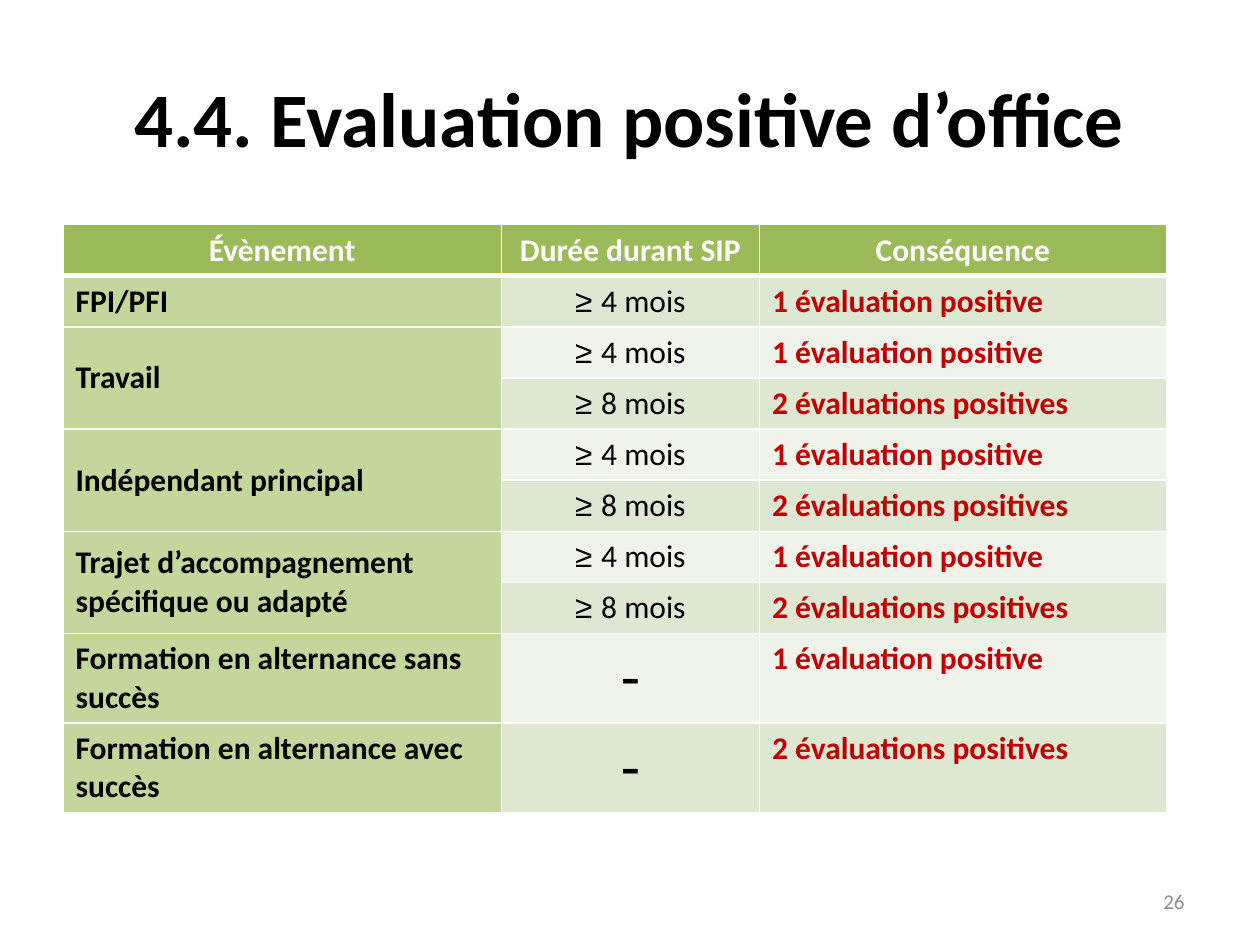
from lxml.etree import SubElement
from pptx import Presentation
from pptx.dml.color import RGBColor
from pptx.enum.text import MSO_ANCHOR, PP_ALIGN
from pptx.oxml.ns import qn
from pptx.util import Pt

WHITE, BLACK, GREY, RED = "FFFFFF", "000000", "8C8C8C", "C00000"
HEADER_GREEN, EVENT_GREEN = "9BBB59", "C3D69B"
BANDS = ["DEE7D1", "EFF3EA"]

HEADINGS = ["Évènement", "Durée durant SIP", "Conséquence"]
ONE, TWO = "1 évaluation positive", "2 évaluations positives"
BOTH_DURATIONS = [("4 mois", ONE), ("8 mois", TWO)]
EVENTS = [
    ("FPI/PFI", [("4 mois", ONE)]),
    ("Travail", BOTH_DURATIONS),
    ("Indépendant principal", BOTH_DURATIONS),
    ("Trajet d’accompagnement spécifique ou adapté", BOTH_DURATIONS),
    ("Formation en alternance sans succès", [(None, ONE)]),
    ("Formation en alternance avec succès", [(None, TWO)]),
]
COLUMN_WIDTHS = [250.5, 147.5, 232.5]
ROW_HEIGHT, TALL_ROW_HEIGHT = 29.2, 51.2


def color(value):
    return RGBColor.from_string(value)


class SlideBuilder:
    style = {"name": "Calibri", "size": 18, "bold": False, "color": BLACK}

    def __init__(self, slide):
        self.slide = slide

    def add_runs(self, frame, runs, align=PP_ALIGN.LEFT):
        paragraph = frame.paragraphs[0]
        paragraph.alignment = align
        for text, changes in runs:
            run = paragraph.add_run()
            run.text = text
            values = {**self.style, **changes}
            run.font.color.rgb = color(values.pop("color"))
            values["size"] = Pt(values["size"])
            for name, value in values.items():
                setattr(run.font, name, value)

    def text(self, box, text, align, **changes):
        shape = self.slide.shapes.add_textbox(*map(Pt, box))
        frame = shape.text_frame
        frame.word_wrap = True
        frame.vertical_anchor = MSO_ANCHOR.MIDDLE
        self.add_runs(frame, [(text, changes)], align)

    def table(self, left, top, widths, heights):
        frame = self.slide.shapes.add_table(
            len(heights), len(widths), Pt(left), Pt(top), Pt(sum(widths)), Pt(sum(heights)))
        table = frame.table
        for column, width in zip(table.columns, widths):
            column.width = Pt(width)
        for row, height in zip(table.rows, heights):
            row.height = Pt(height)
        return table

    def cell(self, cell, fill, top=1, bottom=1):
        properties = cell._tc.get_or_add_tcPr()
        for side, width in {"L": 1, "R": 1, "T": top, "B": bottom}.items():
            line = SubElement(properties, qn(f"a:ln{side}"), w=str(Pt(width)))
            solid = SubElement(line, qn("a:solidFill"))
            SubElement(solid, qn("a:srgbClr"), val=WHITE)
        cell.fill.solid()
        cell.fill.fore_color.rgb = color(fill)

    def events_table(self, left, top):
        outcomes = [outcome for _, group in EVENTS for outcome in group]
        heights = [ROW_HEIGHT] + [
            ROW_HEIGHT if duration else TALL_ROW_HEIGHT for duration, _ in outcomes]
        table = self.table(left, top, COLUMN_WIDTHS, heights)

        for column, heading in enumerate(HEADINGS):
            cell = table.cell(0, column)
            self.cell(cell, HEADER_GREEN, bottom=3)
            self.add_runs(cell.text_frame, [(heading, {"bold": True, "color": WHITE})],
                          PP_ALIGN.CENTER)

        for row, (duration, consequence) in enumerate(outcomes, 1):
            band = BANDS[(row - 1) % 2]
            for column, fill in enumerate([EVENT_GREEN, band, band]):
                self.cell(table.cell(row, column), fill, top=3 if row == 1 else 1)
            runs = [("≥ ", {"name": "Arial"}), (duration, {})] if duration else [
                ("-", {"size": 36})]
            self.add_runs(table.cell(row, 1).text_frame, runs, PP_ALIGN.CENTER)
            self.add_runs(table.cell(row, 2).text_frame,
                          [(consequence, {"bold": True, "color": RED})])

        row = 1
        for event, group in EVENTS:
            cell = table.cell(row, 0)
            if len(group) > 1:
                cell.merge(table.cell(row + len(group) - 1, 0))
            cell.vertical_anchor = MSO_ANCHOR.MIDDLE
            self.add_runs(cell.text_frame, [(event, {"bold": True})])
            row += len(group)


def main():
    presentation = Presentation()
    presentation.slide_width, presentation.slide_height = Pt(720), Pt(540)
    slide = presentation.slides.add_slide(presentation.slide_layouts[6])
    builder = SlideBuilder(slide)
    builder.text((36, 21.6, 648, 90), "4.4. Evaluation positive d’office",
                 PP_ALIGN.CENTER, size=44, bold=True)
    builder.text((516, 500.5, 168, 28.75), "26", PP_ALIGN.RIGHT, size=12, color=GREY)
    builder.events_table(36, 128.4)
    presentation.save("out.pptx")


if __name__ == "__main__":
    main()
